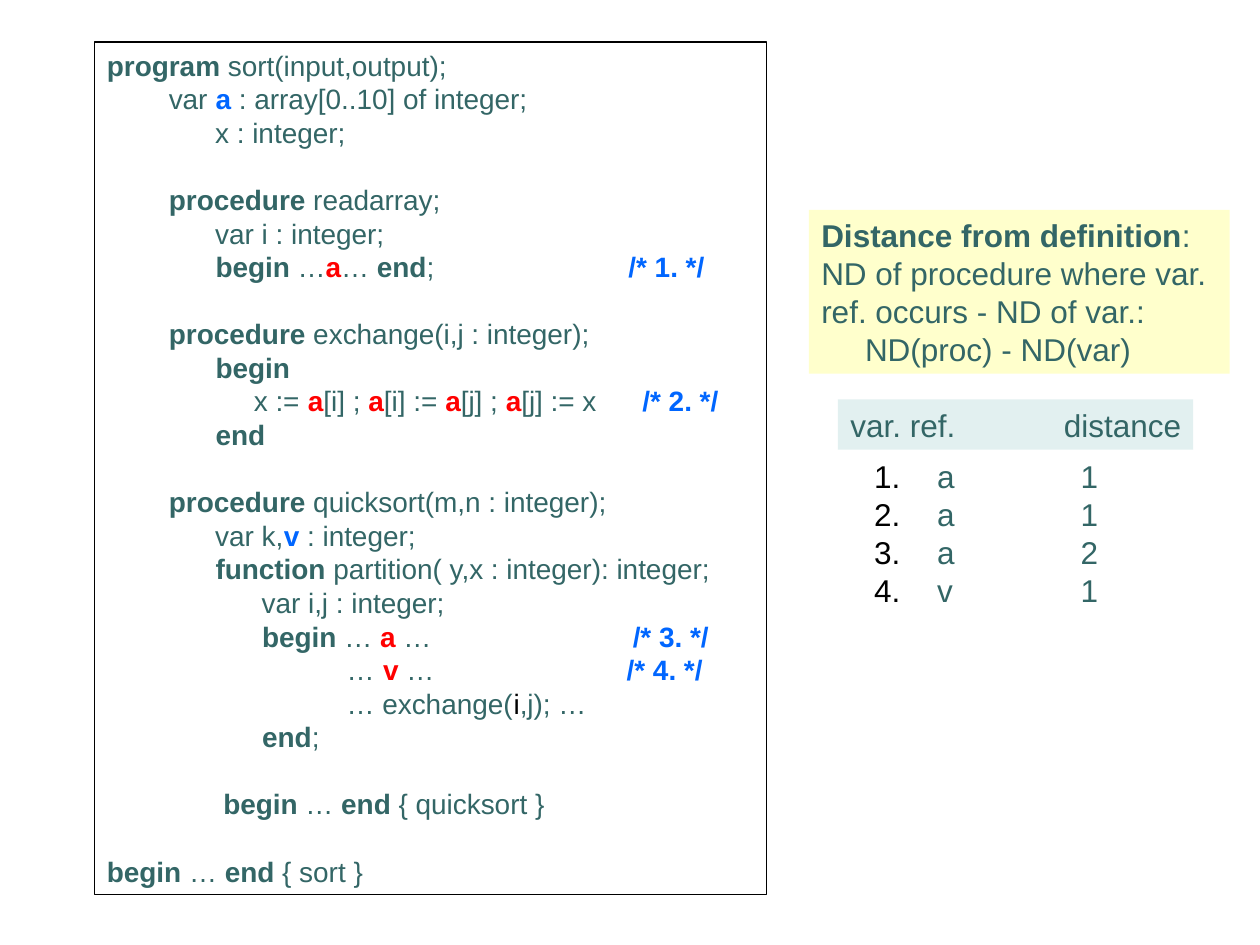
from lxml.etree import SubElement
from pptx import Presentation
from pptx.dml.color import RGBColor
from pptx.enum.shapes import MSO_SHAPE
from pptx.enum.text import MSO_ANCHOR, PP_ALIGN
from pptx.oxml.ns import qn
from pptx.util import Pt

FONT = "Arial"
TEAL, BLUE, RED, BLACK = "336666", "0066FF", "FF0000", "000000"
CODE_SIZE, NOTE_SIZE = 16, 18

# style: (colour, bold)
STYLES = {
    "plain": (TEAL, False),
    "key": (TEAL, True),
    "mark": (BLUE, True),
    "use": (RED, True),
    "arg": (BLACK, False),
}
PROGRAM, PROCEDURE, FUNCTION, BEGIN, END = (
    (word, "key") for word in ("program", "procedure", "function", "begin", "end"))
USE_A, USE_V = ("a", "use"), ("v", "use")

# Blocks of code lines: (leading spaces, parts, tab position of the comment)
CODE = [
    [(0, [PROGRAM, " sort(input,output);"], None),
     (8, ["var ", ("a", "mark"), " : array[0..10] of integer;"], None),
     (14, ["x : integer;"], None)],
    [(8, [PROCEDURE, " readarray;"], None),
     (14, ["var i : integer;"], None),
     (14, [BEGIN, " …", USE_A, "… ", END, ";\t", ("/* 1. */", "mark")], 298)],
    [(8, [PROCEDURE, " exchange(i,j : integer);"], None),
     (14, [BEGIN], None),
     (19, ["x := ", USE_A, "[i] ; ", USE_A, "[i] := ", USE_A, "[j] ; ", USE_A,
           "[j] := x\t", ("/* 2. */", "mark")], 306),
     (14, [END], None)],
    [(8, [PROCEDURE, " quicksort(m,n : integer);"], None),
     (14, ["var k,", ("v", "mark"), " : integer;"], None),
     (14, [FUNCTION, " partition( y,x : integer): integer;"], None),
     (20, ["var i,j : integer;"], None),
     (20, [BEGIN, " … ", USE_A, " …\t", ("/* 3. */", "mark")], 300.5),
     (31, ["… ", USE_V, " …\t", ("/* 4. */", "mark")], 297),
     (31, ["… exchange(", ("i", "arg"), ",j); …"], None),
     (20, [END, ";"], None)],
    [(15, [BEGIN, " … ", END, " { quicksort }"], None)],
    [(0, [BEGIN, " … ", END, " { sort }"], None)],
]
REFERENCES = [("a", 1), ("a", 1), ("a", 2), ("v", 1)]


def colour(hex_string):
    return RGBColor.from_string(hex_string)


def prepare(frame, wrap=True):
    frame.word_wrap = wrap
    frame.vertical_anchor = MSO_ANCHOR.TOP
    return frame


def add_panel(slide, box, fill=None, line=None, wrap=True):
    panel = slide.shapes.add_shape(MSO_SHAPE.RECTANGLE, *map(Pt, box))
    panel.shadow.inherit = False
    if fill:
        panel.fill.solid()
        panel.fill.fore_color.rgb = colour(fill)
    else:
        panel.fill.background()
    if line:
        panel.line.color.rgb = colour(line)
        panel.line.width = Pt(0.75)
    else:
        panel.line.fill.background()
    return prepare(panel.text_frame, wrap)


def next_paragraph(frame):
    first = frame.paragraphs[0]
    paragraph = frame.add_paragraph() if first.runs else first
    paragraph.alignment = PP_ALIGN.LEFT
    return paragraph


def add_tab(paragraph, position):
    tabs = SubElement(paragraph._p.get_or_add_pPr(), qn("a:tabLst"))
    SubElement(tabs, qn("a:tab"), pos=str(Pt(position)), algn="l")


def add_runs(paragraph, parts, size):
    for part in parts:
        text, style = (part, "plain") if isinstance(part, str) else part
        run = paragraph.add_run()
        run.text = text
        run.font.name, run.font.size = FONT, Pt(size)
        hex_string, run.font.bold = STYLES[style]
        run.font.color.rgb = colour(hex_string)


def add_code(slide, box):
    frame = add_panel(slide, box, line=BLACK)
    for block_number, block in enumerate(CODE):
        for line_number, (indent, parts, tab) in enumerate(block):
            paragraph = next_paragraph(frame)
            if tab:
                add_tab(paragraph, tab)
            # One empty line between blocks
            if block_number and not line_number:
                paragraph.space_before = Pt(1.2 * CODE_SIZE)
            lead = [" " * indent] if indent else []
            add_runs(paragraph, lead + parts, CODE_SIZE)


def add_definition(slide, box):
    frame = add_panel(slide, box, fill="FFFFCC")
    for parts in ([("Distance from definition", "key"), ":"],
                  ["ND of procedure where var."],
                  ["ref. occurs - ND of var.:"]):
        add_runs(next_paragraph(frame), parts, NOTE_SIZE)
    formula = next_paragraph(frame)
    formula._p.get_or_add_pPr().set("marL", str(Pt(25)))
    add_runs(formula, ["ND(proc) - ND(var)"], NOTE_SIZE)


def add_distance_header(slide, box):
    header = next_paragraph(add_panel(slide, box, fill="E2F0F0", wrap=False))
    add_tab(header, 122)
    add_runs(header, ["var. ref.\tdistance"], NOTE_SIZE)


def add_distances(slide, box):
    frame = prepare(slide.shapes.add_textbox(*map(Pt, box)).text_frame)
    for variable, distance in REFERENCES:
        paragraph = next_paragraph(frame)
        properties = paragraph._p.get_or_add_pPr()
        properties.set("marL", str(Pt(36)))
        properties.set("indent", str(-Pt(36)))
        bullet = SubElement(properties, qn("a:buClr"))
        SubElement(bullet, qn("a:srgbClr"), val=BLACK)
        SubElement(properties, qn("a:buFont"), typeface=FONT)
        SubElement(properties, qn("a:buAutoNum"), type="arabicPeriod")
        add_tab(paragraph, 118)
        add_runs(paragraph, [f"{variable}\t{distance}"], NOTE_SIZE)


def main():
    presentation = Presentation()
    presentation.slide_width, presentation.slide_height = Pt(720), Pt(540)
    slide = presentation.slides.add_slide(presentation.slide_layouts[6])
    add_definition(slide, (462.25, 120, 240.5, 93.6))
    add_code(slide, (54, 24, 384, 487.4))
    add_distances(slide, (492.5, 257.75, 168.5, 93.6))
    add_distance_header(slide, (478.8, 228.25, 203, 28.8))
    presentation.save("out.pptx")


if __name__ == "__main__":
    main()
